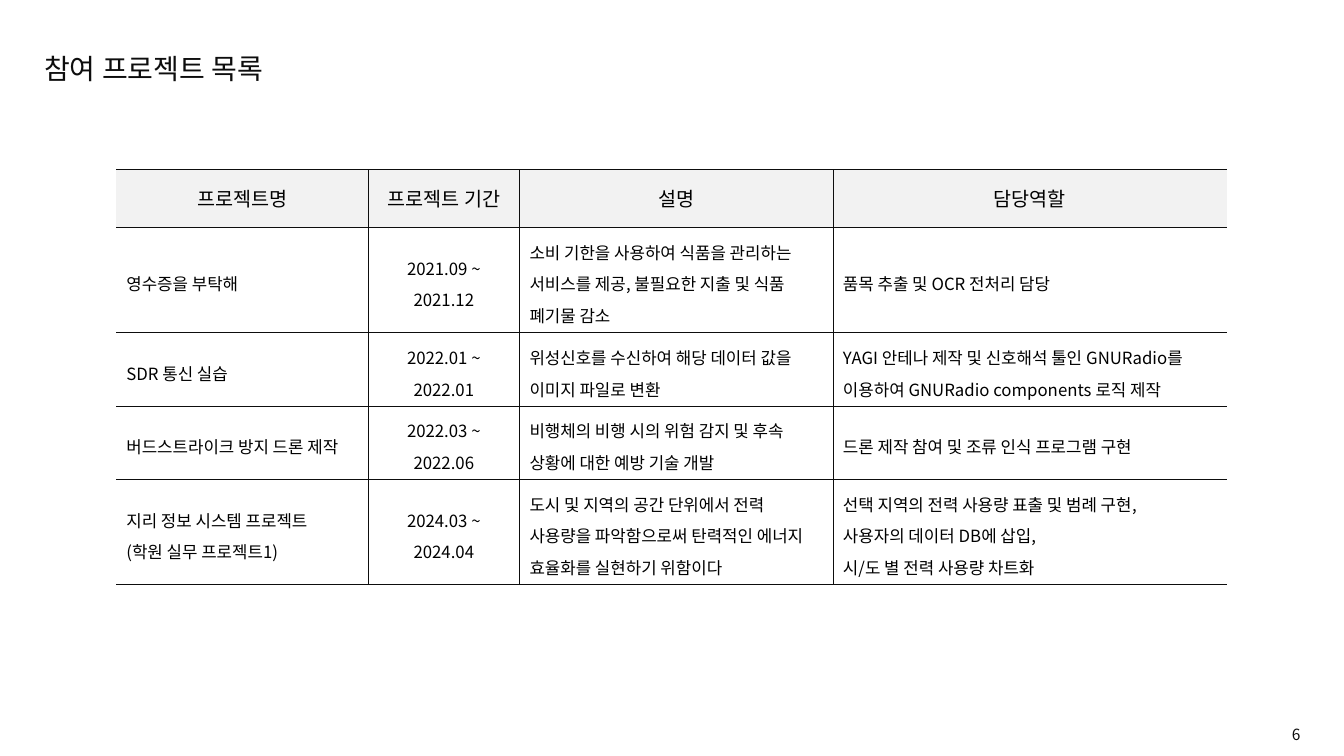
from lxml.etree import SubElement
from pptx import Presentation
from pptx.dml.color import RGBColor
from pptx.enum.text import MSO_ANCHOR as Anchor, MSO_AUTO_SIZE as AutoSize, PP_ALIGN as Align
from pptx.oxml.ns import qn
from pptx.util import Cm, Pt

FONT = "Noto Sans CJK KR"
INK = "0D0D0D"
BLACK = "000000"
HEADER_FILL = "F2F2F2"
LINE_SPACING = 1.3
COLUMN_WIDTHS = [6.35, 3.81, 7.9, 9.93]
HEADER_HEIGHT = 1.46
ROW_HEIGHT = 1.4
PERIOD_COLUMN = 1

HEADERS = ["프로젝트명", "프로젝트 기간", "설명", "담당역할"]
PROJECTS = [
    ["영수증을 부탁해", "2021.09 ~ 2021.12",
     "소비 기한을 사용하여 식품을 관리하는 서비스를 제공, 불필요한 지출 및 식품 폐기물 감소",
     "품목 추출 및 OCR 전처리 담당"],
    ["SDR 통신 실습", "2022.01 ~ 2022.01",
     "위성신호를 수신하여 해당 데이터 값을 이미지 파일로 변환",
     "YAGI 안테나 제작 및 신호해석 툴인 GNURadio를 이용하여 GNURadio components 로직 제작"],
    ["버드스트라이크 방지 드론 제작", "2022.03 ~ 2022.06",
     "비행체의 비행 시의 위험 감지 및 후속 상황에 대한 예방 기술 개발",
     "드론 제작 참여 및 조류 인식 프로그램 구현"],
    ["지리 정보 시스템 프로젝트\n(학원 실무 프로젝트1)", "2024.03 ~ 2024.04",
     "도시 및 지역의 공간 단위에서 전력 사용량을 파악함으로써 탄력적인 에너지 효율화를 실현하기 위함이다",
     "선택 지역의 전력 사용량 표출 및 범례 구현,\n사용자의 데이터 DB에 삽입,\n시/도 별 전력 사용량 차트화"],
]


def color(value):
    return RGBColor.from_string(value)


def write_text(frame, text, size, ink, align=Align.LEFT, spacing=None):
    frame.text = text
    for para in frame.paragraphs:
        para.alignment = align
        para.line_spacing = spacing
        for span in para.runs:
            span.font.size = Pt(size)
            span.font.name = FONT
            span.font.color.rgb = color(ink)
            SubElement(span.font._element, qn("a:ea"), typeface=FONT)


def set_borders(cell, visible_sides):
    properties = cell._tc.get_or_add_tcPr()
    for side in "LRTB":
        line = SubElement(properties, qn(f"a:ln{side}"), w=str(Pt(0.5)))
        if side in visible_sides:
            fill = SubElement(line, qn("a:solidFill"))
            SubElement(fill, qn("a:srgbClr"), val=INK)
        else:
            SubElement(line, qn("a:noFill"))


def add_title(slide, text):
    title = slide.shapes.title
    title.left, title.top, title.width, title.height = Cm(0.86), Cm(0.94), Cm(12.47), Cm(1.32)
    write_text(title.text_frame, text, 20, INK, spacing=LINE_SPACING)
    title.text_frame.vertical_anchor = Anchor.MIDDLE
    title.text_frame.auto_size = AutoSize.NONE


def add_page_number(slide, number):
    box = slide.shapes.add_textbox(Cm(31.29), Cm(18.16), Cm(1.73), Cm(0.74))
    box.text_frame.word_wrap = True
    write_text(box.text_frame, number, 11, INK, Align.RIGHT)


def format_cell(cell, text, row, column):
    is_header = row == 0
    centred = is_header or column == PERIOD_COLUMN
    write_text(cell.text_frame, text, 14 if is_header else 12, BLACK,
               Align.CENTER if centred else Align.LEFT,
               None if is_header else LINE_SPACING)
    cell.vertical_anchor = Anchor.MIDDLE
    left = "L" if column > 0 else ""
    right = "R" if column < len(HEADERS) - 1 else ""
    set_borders(cell, "TB" + left + right)
    if is_header:
        cell.fill.solid()
        cell.fill.fore_color.rgb = color(HEADER_FILL)
    else:
        cell.fill.background()


def add_project_table(slide):
    rows = [HEADERS] + PROJECTS
    height = HEADER_HEIGHT + ROW_HEIGHT * len(PROJECTS)
    table = slide.shapes.add_table(len(rows), len(HEADERS), Cm(2.93), Cm(4.27),
                                   Cm(sum(COLUMN_WIDTHS)), Cm(height)).table
    table.first_row = False
    table.horz_banding = False
    for column, width in zip(table.columns, COLUMN_WIDTHS):
        column.width = Cm(width)
    for row_index, texts in enumerate(rows):
        table.rows[row_index].height = Cm(ROW_HEIGHT if row_index else HEADER_HEIGHT)
        for column_index, text in enumerate(texts):
            format_cell(table.cell(row_index, column_index), text, row_index, column_index)


def main():
    deck = Presentation()
    deck.slide_width, deck.slide_height = Cm(33.87), Cm(19.05)
    slide = deck.slides.add_slide(deck.slide_layouts.get_by_name("Title Only"))
    add_title(slide, "참여 프로젝트 목록")
    add_project_table(slide)
    add_page_number(slide, "6")
    deck.save("out.pptx")


if __name__ == "__main__":
    main()
